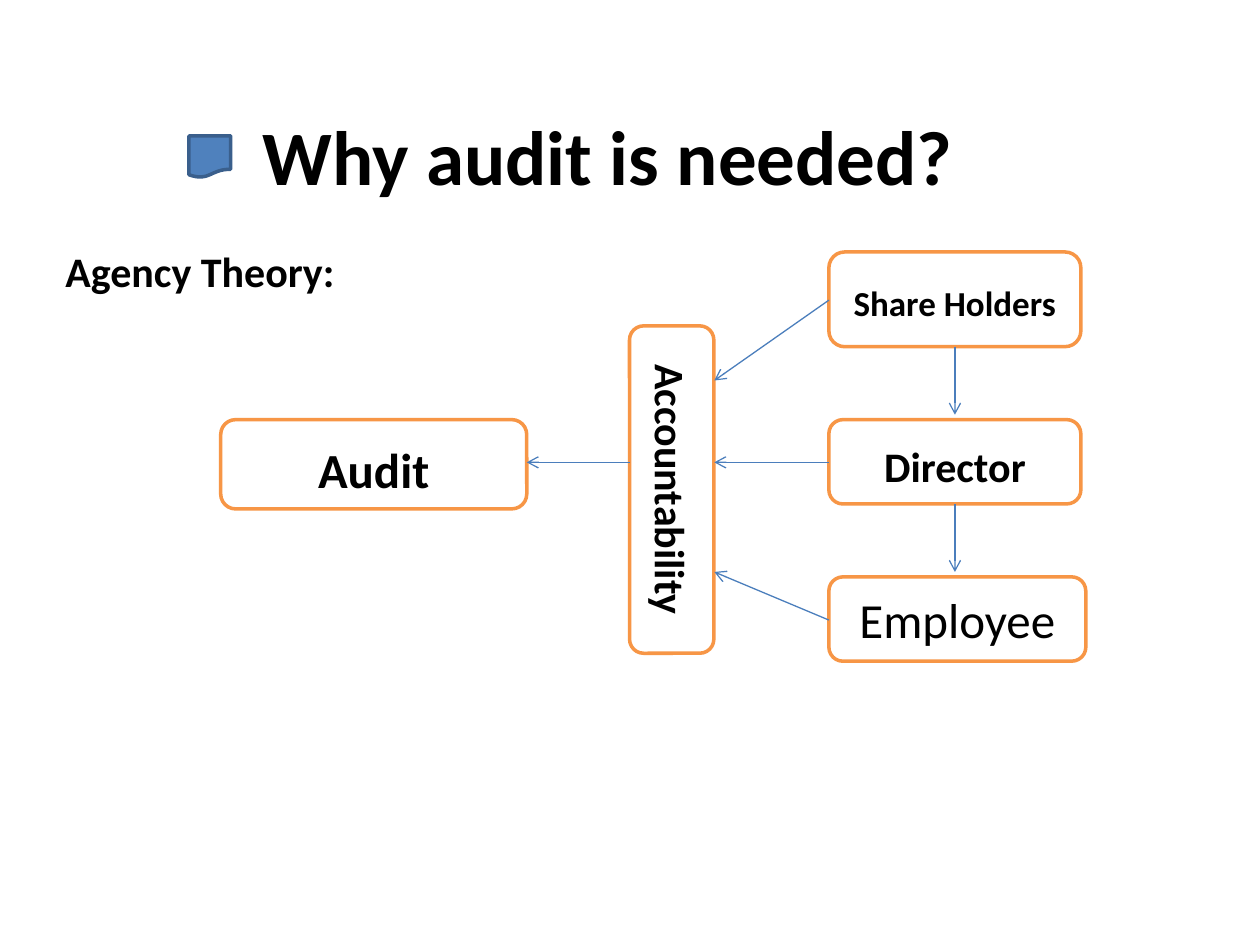
from dataclasses import dataclass

from lxml.etree import SubElement
from pptx import Presentation
from pptx.dml.color import RGBColor
from pptx.enum.shapes import MSO_CONNECTOR, MSO_SHAPE
from pptx.enum.text import MSO_ANCHOR, MSO_AUTO_SIZE, PP_ALIGN
from pptx.oxml.ns import qn
from pptx.util import Cm, Pt


@dataclass(frozen=True)
class Theme:
    """Colours, font and type sizes of the slide."""
    font: str = "Calibri"
    text: RGBColor = RGBColor(0x00, 0x00, 0x00)
    box_fill: RGBColor = RGBColor(0xFF, 0xFF, 0xFF)
    box_line: RGBColor = RGBColor(0xF7, 0x96, 0x46)
    icon_fill: RGBColor = RGBColor(0x4F, 0x81, 0xBD)
    icon_line: RGBColor = RGBColor(0x3A, 0x5F, 0x8C)
    arrow: RGBColor = RGBColor(0x4B, 0x7E, 0xBC)
    title: int = 44
    large: int = 28
    medium: int = 24
    small: int = 20


THEME = Theme()


def write(tf, text, size, bold=True, align=PP_ALIGN.CENTER):
    """Put one formatted run in a text frame and return its paragraph."""
    tf.word_wrap = True
    tf.auto_size = MSO_AUTO_SIZE.NONE
    p = tf.paragraphs[0]
    p.alignment = align
    r = p.add_run()
    r.text = text
    r.font.name = THEME.font
    r.font.size = Pt(size)
    r.font.bold = bold
    r.font.color.rgb = THEME.text
    return p


def add_title(s, text):
    """Place and fill the title placeholder."""
    sp = s.shapes.title
    sp.left, sp.top, sp.width, sp.height = Cm(1.47), Cm(1.07), Cm(21.59), Cm(4.09)
    sp.text_frame.vertical_anchor = MSO_ANCHOR.MIDDLE
    write(sp.text_frame, text, THEME.title)


def add_body(s, text):
    """Add the left-aligned body text."""
    tf = s.shapes.add_textbox(Cm(1.07), Cm(4.24), Cm(22.86), Cm(13.77)).text_frame
    tf.margin_top = Cm(0.71)
    write(tf, text, THEME.medium, align=PP_ALIGN.LEFT)


def add_outlined(s, kind, x, y, w, h, fill, line):
    """Add a flat preset shape with a two-point outline."""
    sp = s.shapes.add_shape(kind, Cm(x), Cm(y), Cm(w), Cm(h))
    sp.shadow.inherit = False
    sp.fill.solid()
    sp.fill.fore_color.rgb = fill
    sp.line.color.rgb = line
    sp.line.width = Pt(2)
    return sp


def add_box(s, text, x, y, w, h, size, bold=True, spaced=True, rotation=0):
    """Add a labelled rounded box."""
    sp = add_outlined(s, MSO_SHAPE.ROUNDED_RECTANGLE, x, y, w, h,
                      THEME.box_fill, THEME.box_line)
    sp.rotation = rotation
    sp.text_frame.vertical_anchor = MSO_ANCHOR.MIDDLE
    p = write(sp.text_frame, text, size, bold)
    if spaced:
        p.line_spacing = 1.15
        p.space_after = Pt(10)


def add_arrow(s, x1, y1, x2, y2):
    """Add a thin line with an open arrowhead at its end."""
    c = s.shapes.add_connector(MSO_CONNECTOR.STRAIGHT, Cm(x1), Cm(y1), Cm(x2), Cm(y2))
    c.line.color.rgb = THEME.arrow
    c.line.width = Pt(0.75)
    SubElement(c.line._get_or_add_ln(), qn("a:tailEnd"), type="arrow")
    SubElement(c._element.spPr, qn("a:effectLst"))


def main():
    """Build the slide and save it."""
    prs = Presentation()
    prs.slide_width, prs.slide_height = Cm(25.4), Cm(19.05)
    s = prs.slides.add_slide(prs.slide_layouts[5])
    add_title(s, "Why audit is needed?")
    add_body(s, "Agency Theory:")
    add_outlined(s, MSO_SHAPE.FLOWCHART_DOCUMENT, 3.81, 2.74, 0.84, 0.84,
                 THEME.icon_fill, THEME.icon_line)

    role_x, role_w = 16.71, 5.08
    role_mid = role_x + role_w / 2
    axis_y = 9.32
    add_box(s, "Share Holders", role_x, 5.08, role_w, 1.91, THEME.small)
    add_box(s, "Director", role_x, 8.46, role_w, 1.7, THEME.medium)
    add_box(s, "Employee", role_x, 11.63, 5.18, 1.7, THEME.large,
            bold=False, spaced=False)
    add_box(s, "Audit", 4.45, 8.46, 6.17, 1.8, THEME.large)
    add_box(s, "Accountability", 10.24, 9.02, 6.6, 1.7, THEME.medium,
            spaced=False, rotation=90)

    for y in (6.99, 10.16):
        add_arrow(s, role_mid, y, role_mid, y + 1.37)
    for y1, y2 in ((6.05, 7.67), (axis_y, axis_y), (12.5, 11.53)):
        add_arrow(s, role_x, y1, 14.4, y2)
    add_arrow(s, 12.7, axis_y, 10.62, axis_y)
    prs.save("out.pptx")


if __name__ == "__main__":
    main()
